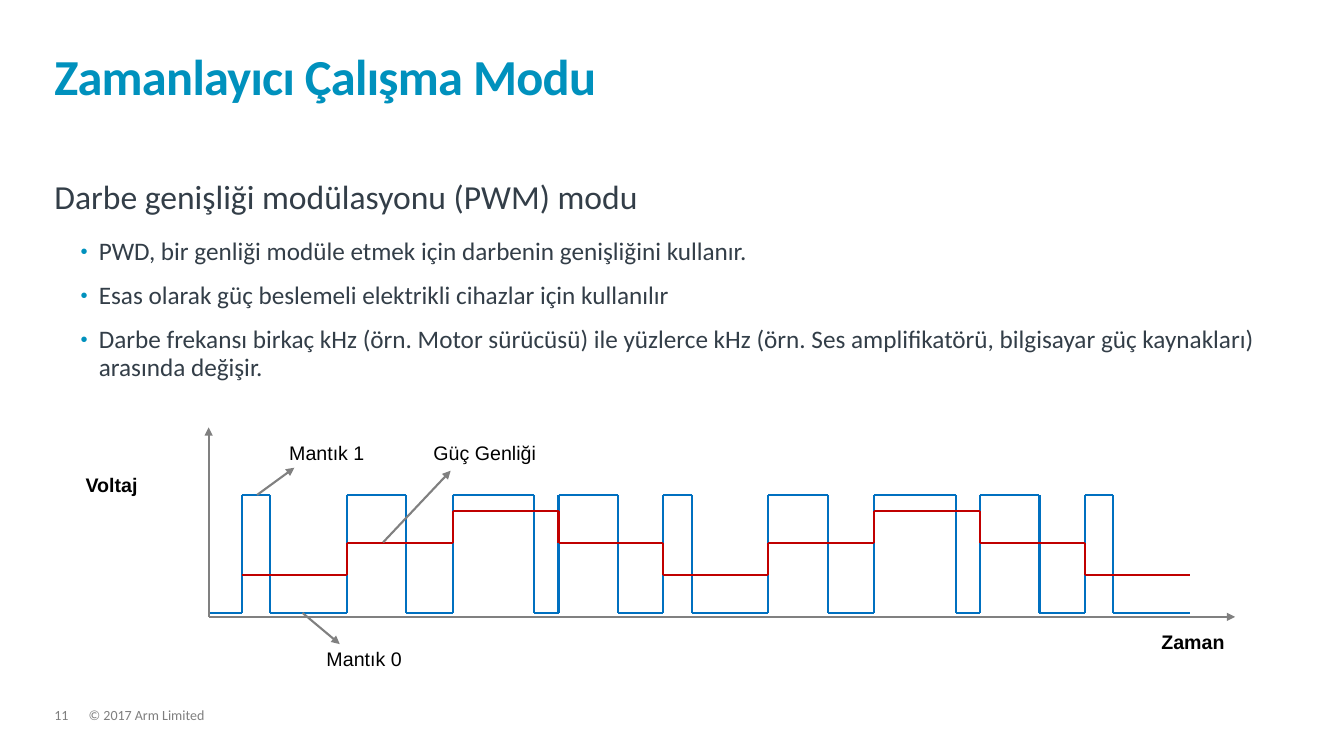
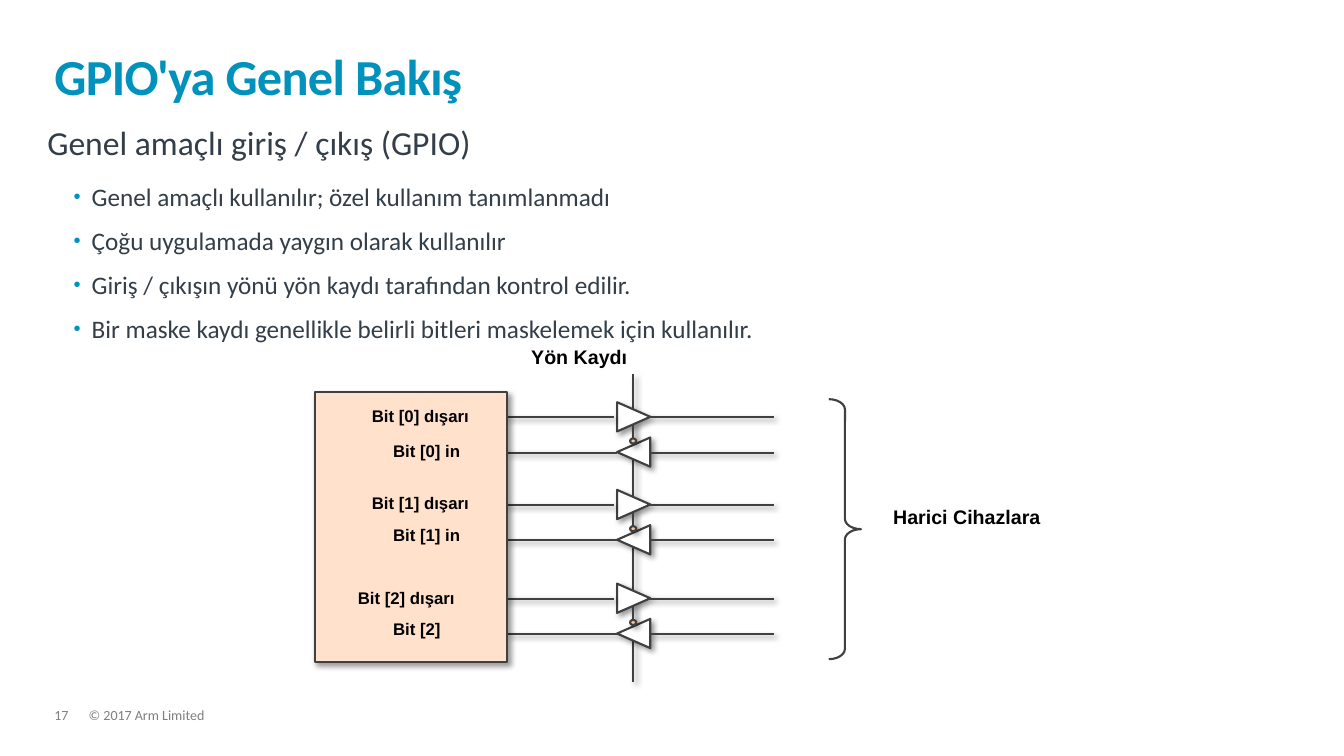
from dataclasses import dataclass
from itertools import cycle, pairwise
from typing import Any

from lxml.etree import SubElement
from pptx import Presentation
from pptx.dml.color import RGBColor
from pptx.enum.shapes import MSO_CONNECTOR, MSO_SHAPE
from pptx.enum.text import MSO_ANCHOR
from pptx.oxml.ns import qn
from pptx.util import Pt

SCALE = 9144


@dataclass(frozen=True)
class Theme:
    title: str = "0091BD"
    body: str = "333E48"
    foot: str = "7F7F7F"
    black: str = "000000"
    white: str = "FFFFFF"
    axis: str = "808080"
    pulse: str = "0070C0"
    power: str = "C00000"
    ink: str = "404040"
    chip: str = "FFE1CC"
    dot: str = "FFC499"
    sans: str = "Calibri"
    plain: str = "Arial"
    head_size: int = 36
    lead_size: int = 24
    list_size: int = 18
    note_size: int = 14
    pin_size: int = 12
    foot_size: int = 10
    stroke: float = 1.5


@dataclass(frozen=True)
class Box:
    left: int
    top: int
    width: int
    height: int

    def emu(self) -> tuple[int, ...]:
        return tuple(SCALE * n for n in (self.left, self.top, self.width, self.height))


@dataclass(frozen=True)
class Label:
    text: str
    box: Box
    bold: bool = True


@dataclass(frozen=True)
class Pin:
    level: int
    out: Label
    into: Label


@dataclass(frozen=True)
class Duty:
    width: int
    level: int


Point = tuple[int, int]
THEME = Theme()
LOW, HIGH = 608, 491
START, END, PERIOD = 240, 1180, 104.5
SHORT, MID, LONG = Duty(28, 570), Duty(59, 539), Duty(81, 507)
ARROWS: list[tuple[Point, Point]] = [
    ((207, 612), (1225, 612)),
    ((207, 612), (207, 424)),
    ((255, 491), (292, 464)),
    ((300, 608), (337, 639)),
    ((380, 538), (447, 467)),
]
WAVE_NOTES = [
    Label("Voltaj", Box(75, 464, 133, 34)),
    Label("Zaman", Box(1142, 620, 97, 34)),
    Label("Mantık 1", Box(277, 433, 133, 34), False),
    Label("Mantık 0", Box(314, 637, 133, 34), False),
    Label("Güç Genliği", Box(420, 433, 236, 34), False),
]
PORT_NOTES = [
    Label("Yön Kaydı", Box(517, 337, 251, 34)),
    Label("Harici Cihazlara", Box(876, 496, 251, 34)),
]
PINS = [
    Pin(414, Label("Bit [0] dışarı", Box(359, 398, 143, 30)),
        Label("Bit [0] in", Box(380, 432, 123, 30))),
    Pin(501, Label("Bit [1] dışarı", Box(359, 484, 143, 30)),
        Label("Bit [1] in", Box(380, 516, 123, 30))),
    Pin(594, Label("Bit [2] dışarı", Box(345, 578, 158, 30)),
        Label("Bit [2]", Box(380, 609, 123, 30))),
]


def style(para: Any, size: int, color: str, face: str, bold: bool = False) -> None:
    for run in para.runs:
        run.font.size = Pt(size)
        run.font.name = face
        run.font.bold = bold
        run.font.color.rgb = RGBColor.from_string(color)


def frame(slide: Any, box: Box, inset: bool = False) -> Any:
    text = slide.shapes.add_textbox(*box.emu()).text_frame
    text.word_wrap = True
    if not inset:
        text.margin_left = text.margin_right = 0
        text.margin_top = text.margin_bottom = 0
    return text


def note(slide: Any, label: Label, size: int = THEME.note_size) -> None:
    text = frame(slide, label.box, True)
    text.text = label.text
    style(text.paragraphs[0], size, THEME.black, THEME.plain, label.bold)


def foot(slide: Any, text: str, box: Box) -> None:
    area = frame(slide, box)
    area.text = text
    area.paragraphs[0].line_spacing = 0.9
    style(area.paragraphs[0], THEME.foot_size, THEME.foot, THEME.sans)


def bullet(para: Any) -> None:
    para.level = 1
    props = para._p.get_or_add_pPr()
    props.set("marL", str(44 * SCALE))
    props.set("indent", str(-18 * SCALE))
    tint = SubElement(props, qn("a:buClr"))
    SubElement(tint, qn("a:srgbClr"), val=THEME.title)
    SubElement(props, qn("a:buSzPct"), val="80000")
    SubElement(props, qn("a:buFont"), typeface=THEME.plain)
    SubElement(props, qn("a:buChar"), char="•")


def page(deck: Any, number: int, title: str, box: Box, lead: str, items: list[str]) -> Any:
    slide = deck.slides.add_slide(deck.slide_layouts[6])
    foot(slide, "© 2017 Arm Limited", Box(88, 703, 913, 15))
    foot(slide, str(number), Box(54, 703, 34, 15))
    head = frame(slide, Box(54, 32, 1223, 73))
    head.vertical_anchor = MSO_ANCHOR.BOTTOM
    head.text = title
    line = head.paragraphs[0]
    line.line_spacing = 0.85
    style(line, THEME.head_size, THEME.title, THEME.sans, True)
    line.runs[0].font._element.set("spc", "-50")
    body = frame(slide, box)
    body.text = "\n".join([lead, *items])
    for rank, para in enumerate(body.paragraphs):
        if rank:
            bullet(para)
        para.line_spacing = 0.9
        para.space_after = Pt(12 if rank else 16)
        size = THEME.list_size if rank else THEME.lead_size
        style(para, size, THEME.body, THEME.sans)
    return slide


def shade(props: Any) -> None:
    cast = SubElement(props.find(qn("a:effectLst")), qn("a:outerShdw"), blurRad="50800",
                      dist="38100", dir="2700000", algn="tl", rotWithShape="0")
    tint = SubElement(cast, qn("a:srgbClr"), val=THEME.black)
    SubElement(tint, qn("a:alpha"), val="40000")


def link(slide: Any, start: Point, end: Point, color: str,
         arrow: bool = False, shadow: bool = False) -> None:
    ends = [SCALE * n for n in (*start, *end)]
    wire = slide.shapes.add_connector(MSO_CONNECTOR.STRAIGHT, *ends)
    wire.line.color.rgb = RGBColor.from_string(color)
    wire.line.width = Pt(THEME.stroke)
    props = wire._element.spPr
    if arrow:
        SubElement(props.find(qn("a:ln")), qn("a:tailEnd"), type="triangle")
    SubElement(props, qn("a:effectLst"))
    if shadow:
        shade(props)


def trace(slide: Any, points: list[Point], color: str) -> None:
    for start, end in pairwise(points):
        link(slide, start, end, color)


def solid(slide: Any, kind: MSO_SHAPE, box: Box, fill: str | None, turn: int = 0) -> Any:
    shape = slide.shapes.add_shape(kind, *box.emu())
    shape.rotation = turn
    shape.line.color.rgb = RGBColor.from_string(THEME.ink)
    shape.line.width = Pt(THEME.stroke)
    shape.shadow.inherit = False
    if fill:
        shape.fill.solid()
        shape.fill.fore_color.rgb = RGBColor.from_string(fill)
        shade(shape._element.spPr)
    else:
        shape.fill.background()
    return shape


def wave(slide: Any) -> None:
    pulse: list[Point] = [(207, LOW)]
    power: list[Point] = []
    for step, duty in zip(range(9), cycle([SHORT, MID, LONG, MID])):
        rise = START + round(step * PERIOD)
        fall = rise + duty.width
        pulse += [(rise, LOW), (rise, HIGH), (fall, HIGH), (fall, LOW)]
        next_rise = START + round((step + 1) * PERIOD)
        power += [(rise, duty.level), (min(next_rise, END), duty.level)]
    trace(slide, pulse + [(END, LOW)], THEME.pulse)
    trace(slide, power, THEME.power)
    for start, end in ARROWS:
        link(slide, start, end, THEME.axis, arrow=True)
    for label in WAVE_NOTES:
        note(slide, label)


def gate(slide: Any, level: int, turn: int, left: int, right: int) -> None:
    solid(slide, MSO_SHAPE.ISOSCELES_TRIANGLE, Box(614, level - 17, 29, 33), THEME.white, turn)
    link(slide, (left, level), (right, level), THEME.ink, shadow=True)
    link(slide, (645, level), (768, level), THEME.ink, shadow=True)


def port(slide: Any) -> None:
    link(slide, (628, 677), (628, 371), THEME.ink, shadow=True)
    for pin in PINS:
        gate(slide, pin.level, 90, 501, 609)
        gate(slide, pin.level + 35, 270, 503, 612)
        link(slide, (628, pin.level + 21), (628, pin.level + 8), THEME.ink, shadow=True)
        solid(slide, MSO_SHAPE.OVAL, Box(625, pin.level + 21, 6, 5), THEME.dot)
    solid(slide, MSO_SHAPE.RECTANGLE, Box(312, 389, 191, 268), THEME.chip)
    for pin in PINS:
        note(slide, pin.out, THEME.pin_size)
        note(slide, pin.into, THEME.pin_size)
    for label in PORT_NOTES:
        note(slide, label)
    brace = solid(slide, MSO_SHAPE.RIGHT_BRACE, Box(822, 396, 32, 258), None)
    brace.adjustments[0] = 0.32


def main() -> None:
    deck = Presentation()
    deck.slide_width = 1333 * SCALE
    deck.slide_height = 750 * SCALE
    wave(page(deck, 11, "Zamanlayıcı Çalışma Modu", Box(54, 179, 1207, 447),
              "Darbe genişliği modülasyonu (PWM) modu", [
                  "PWD, bir genliği modüle etmek için darbenin genişliğini kullanır.",
                  "Esas olarak güç beslemeli elektrikli cihazlar için kullanılır",
                  "Darbe frekansı birkaç kHz (örn. Motor sürücüsü) ile yüzlerce kHz "
                  "(örn. Ses amplifikatörü, bilgisayar güç kaynakları) arasında değişir.",
              ]))
    port(page(deck, 17, "GPIO'ya Genel Bakış", Box(47, 125, 1223, 447),
              "Genel amaçlı giriş / çıkış (GPIO)", [
                  "Genel amaçlı kullanılır; özel kullanım tanımlanmadı",
                  "Çoğu uygulamada yaygın olarak kullanılır",
                  "Giriş / çıkışın yönü yön kaydı tarafından kontrol edilir.",
                  "Bir maske kaydı genellikle belirli bitleri maskelemek için kullanılır.",
              ]))
    deck.save("out.pptx")


if __name__ == "__main__":
    main()
